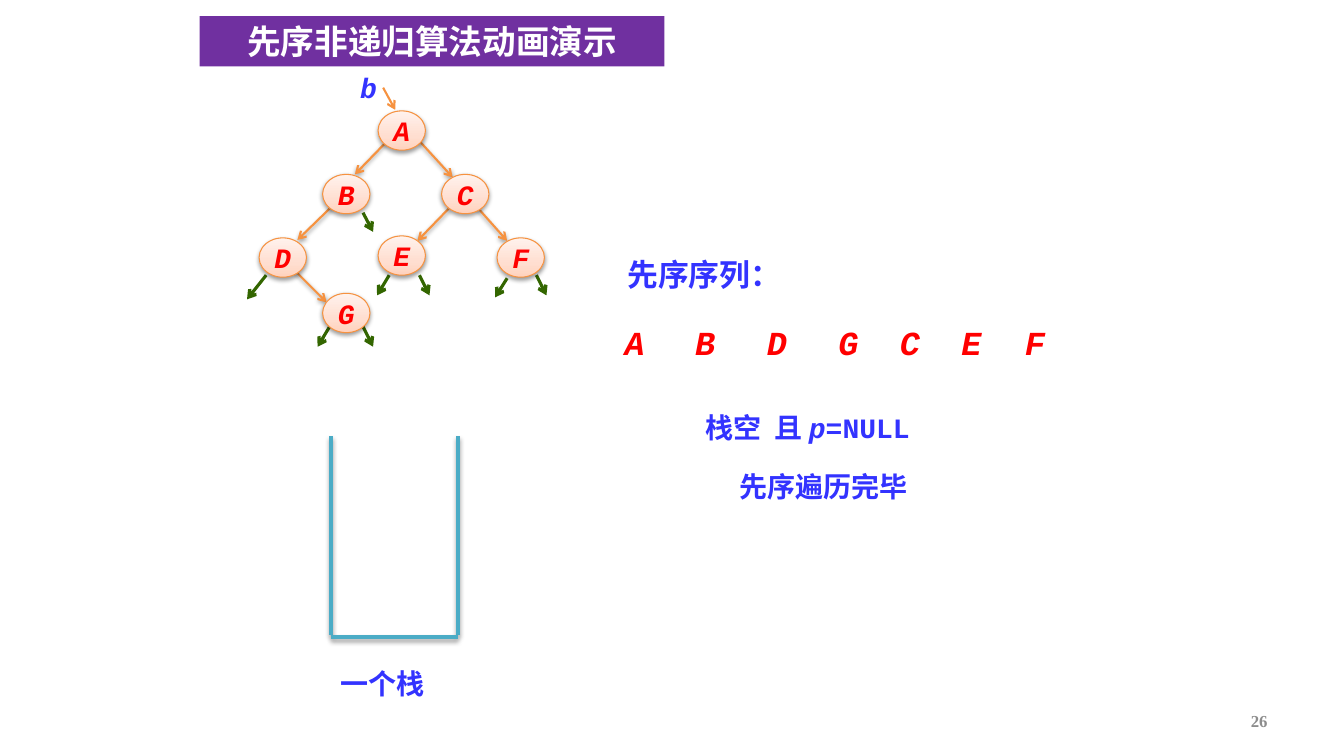
from pptx import Presentation
from pptx.dml.color import RGBColor
from pptx.enum.shapes import MSO_CONNECTOR, MSO_SHAPE
from pptx.enum.text import MSO_ANCHOR, PP_ALIGN
from pptx.oxml import parse_xml
from pptx.oxml.ns import nsdecls
from pptx.util import Inches, Pt

LINE = MSO_CONNECTOR.STRAIGHT
OVAL = MSO_SHAPE.OVAL
TOP, MIDDLE = MSO_ANCHOR.TOP, MSO_ANCHOR.MIDDLE
LEFT, CENTER, RIGHT = PP_ALIGN.LEFT, PP_ALIGN.CENTER, PP_ALIGN.RIGHT

CODE, SERIF = "Courier New", "Times New Roman"
BLUE, RED, ORANGE, GREEN, TEAL = "3333FF", "FF0000", "F69240", "336600", "4BACC6"
NODE_W, NODE_H = 0.47, 0.39
NS = nsdecls("a")
ARROW = f'<a:tailEnd {NS} type="arrow"/>'
PLAIN = f"<a:effectLst {NS}/>"
SHADOW = (f'<a:effectLst {NS}><a:outerShdw blurRad="40000" dist="%d" dir="5400000" '
          'rotWithShape="0"><a:srgbClr val="000000"><a:alpha val="%d"/></a:srgbClr>'
          "</a:outerShdw></a:effectLst>")
SOFT, DEEP = SHADOW % (20000, 38000), SHADOW % (23000, 35000)
MID_STOP = f'<a:gs {NS} pos="35000"><a:srgbClr val="FFDED0"/></a:gs>'


def rgb(code):
    return RGBColor.from_string(code)


def write(shape, runs, size, color, align=CENTER, anchor=TOP, font=CODE,
          inset=None, wrap=True):
    """Fill a shape with bold runs, each given as (text, italic)."""
    frame = shape.text_frame
    frame.word_wrap = wrap
    frame.vertical_anchor = anchor
    if inset is not None:
        frame.margin_left = frame.margin_right = Inches(inset)
        frame.margin_top = frame.margin_bottom = Inches(inset)
    para = frame.paragraphs[0]
    para.alignment = align
    for text, italic in runs:
        run = para.add_run()
        run.text = text
        run.font.name = font
        run.font.size = Pt(size)
        run.font.bold = True
        run.font.italic = italic
        run.font.color.rgb = rgb(color)


deck = Presentation()
deck.slide_width, deck.slide_height = Inches(13.33), Inches(7.5)
slide = deck.slides.add_slide(deck.slide_layouts[5])
shapes = slide.shapes

# Title bar
title = shapes.title
title.left, title.top = Inches(1.98), Inches(0.16)
title.width, title.height = Inches(4.61), Inches(0.5)
title.fill.solid()
title.fill.fore_color.rgb = rgb("7030A0")
write(title, [("先序非递归算法动画演示", False)], 24, "FFFFFF", anchor=MIDDLE, font=SERIF)

# Tree edges, empty-child arrows, root pointer and stack walls
edges = [
    (2.92, 2.68, 3.24, 3), (3.83, 1.41, 3.52, 1.73), (4.17, 1.41, 4.49, 1.76),
    (3.31, 2.03, 2.95, 2.38), (4.45, 2.07, 4.14, 2.39), (4.71, 2.03, 5.03, 2.39),
]
empties = [
    (3.6, 3.24, 3.7, 3.44), (3.27, 3.24, 3.15, 3.44),
    (4.16, 2.73, 4.26, 2.93), (3.86, 2.73, 3.74, 2.93),
    (5.32, 2.73, 5.42, 2.93), (5.03, 2.76, 4.91, 2.95),
    (2.64, 2.73, 2.45, 2.97), (3.6, 2.11, 3.7, 2.3),
]
root = [(3.8, 0.87, 3.92, 1.09)]
walls = [(3.28, 4.33, 3.28, 6.3), (4.54, 4.33, 4.54, 6.3), (3.28, 6.32, 4.54, 6.32)]
for group, color, width, effect, arrow in [
    (edges, ORANGE, 1.5, SOFT, True),
    (empties, GREEN, 2.25, PLAIN, True),
    (root, ORANGE, 1.5, PLAIN, True),
    (walls, TEAL, 3, DEEP, False),
]:
    for ends in group:
        link = shapes.add_connector(LINE, *map(Inches, ends))
        link.line.color.rgb = rgb(color)
        link.line.width = Pt(width)
        if arrow:
            link.line._get_or_add_ln().append(parse_xml(ARROW))
        link._element.spPr.append(parse_xml(effect))

# Tree nodes
for name, x, y in [
    ("A", 3.75, 1.1), ("B", 3.2, 1.73), ("C", 4.38, 1.73), ("D", 2.57, 2.36),
    ("E", 3.75, 2.34), ("G", 3.2, 2.91), ("F", 4.93, 2.36),
]:
    node = shapes.add_shape(OVAL, Inches(x), Inches(y), Inches(NODE_W), Inches(NODE_H))
    node.fill.gradient()
    node.fill.gradient_angle = 90
    for stop, pos, color in zip(node.fill.gradient_stops, (0, 1), ("FFD2BD", "FFF2ED")):
        stop.position = pos
        stop.color.rgb = rgb(color)
    node._element.xpath(".//a:gsLst")[0].insert(1, parse_xml(MID_STOP))
    node.line.color.rgb = rgb(ORANGE)
    node.line.width = Pt(0.75)
    node._element.spPr.append(parse_xml(SOFT))
    write(node, [(name, True)], 20, RED, anchor=MIDDLE, wrap=False)

# Visit order
for name, x in zip("ABDGCEF", (6.06, 6.76, 7.47, 8.18, 8.79, 9.4, 10.03)):
    box = shapes.add_textbox(Inches(x), Inches(3.19), Inches(0.47), Inches(0.4))
    write(box, [(name, True)], 24, RED, inset=0)

# Labels
ending = [("栈空  且 ", False), ("p", True), ("=NULL", False)]
for spot, runs, size, align, inset in [
    ((3.46, 0.7, 0.39, 0.34), [("b", True)], 20, CENTER, 0),
    ((6.04, 2.49, 1.89, 0.47), [("先序序列：", False)], 22, CENTER, None),
    ((6.9, 4.02, 2.5, 0.44), ending, 20, LEFT, None),
    ((6.67, 4.61, 2.99, 0.44), [("先序遍历完毕", False)], 20, CENTER, None),
    ((3.28, 6.56, 1.26, 0.44), [("一个栈", False)], 20, LEFT, None),
]:
    label = shapes.add_textbox(*map(Inches, spot))
    write(label, runs, size, BLUE, align, inset=inset)

# Page number
page = shapes.add_textbox(Inches(9.56), Inches(6.95), Inches(3.11), Inches(0.4))
write(page, [("26", False)], 12, "8C8C8C", RIGHT, MIDDLE, SERIF)

deck.save("out.pptx")
